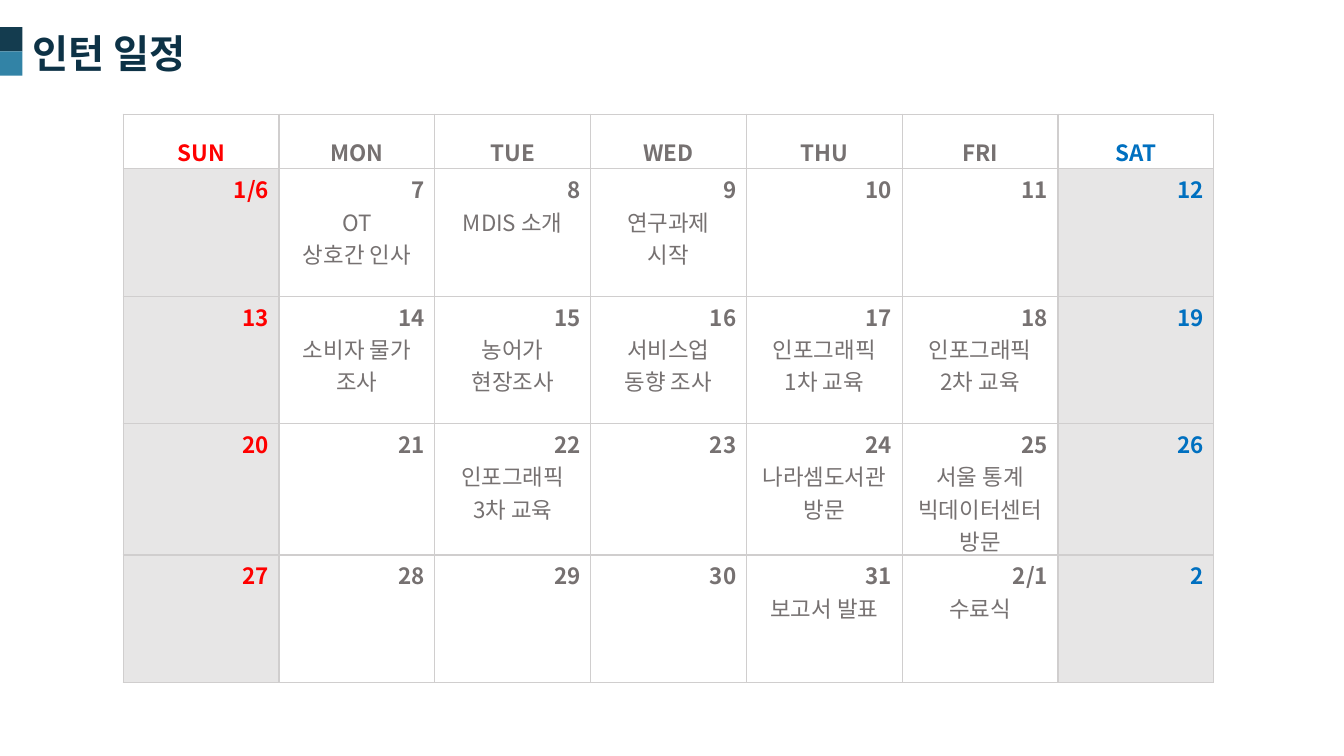
import pptx
import pptx.dml.color
import pptx.enum.shapes
import pptx.enum.text
import pptx.oxml
import pptx.oxml.ns
import pptx.util

Pt = pptx.util.Pt
ALIGN = pptx.enum.text.PP_ALIGN
FONT = "Noto Sans CJK KR"
NS = pptx.oxml.ns.nsdecls("a")
COLORS = {
    "navy": "143C4F", "teal": "3283A6", "title": "0D3246", "outline": "10364A",
    "sunday": "FF0000", "weekday": "767171", "saturday": "0070C0",
    "white": "FFFFFF", "weekend": "E7E6E6", "border": "D0CECE",
}
DAY_COLORS = ["sunday"] + ["weekday"] * 5 + ["saturday"]
DAYS = ["SUN", "MON", "TUE", "WED", "THU", "FRI", "SAT"]
# Each day holds its date, then the lines of its event
WEEKS = [
    [["1/6"], ["7", "OT", "상호간 인사"], ["8", "MDIS 소개"],
     ["9", "연구과제", "시작"], ["10"], ["11"], ["12"]],
    [["13"], ["14", "소비자 물가 조사"], ["15", "농어가", "현장조사"],
     ["16", "서비스업", "동향 조사"], ["17", "인포그래픽", "1차 교육"],
     ["18", "인포그래픽", "2차 교육"], ["19"]],
    [["20"], ["21"], ["22", "인포그래픽", "3차 교육"], ["23"],
     ["24", "나라셈도서관", "방문"],
     ["25", "서울 통계", "빅데이터센터 방문"], ["26"]],
    [["27"], ["28"], ["29"], ["30"], ["31", "보고서 발표"],
     ["2/1", "수료식"], ["2"]],
]
ROW_HEIGHTS = [38.9, 91.05, 91.05, 93.8, 91.05]
COL_WIDTH = 111.3


def rgb(name):
    return pptx.dml.color.RGBColor.from_string(COLORS[name])


def write(p, text, size=16, color="weekday", bold=False, align=None, spacing=None):
    p.alignment = align
    p.line_spacing = spacing
    r = p.add_run()
    r.text = text
    r.font.size = Pt(size)
    r.font.bold = bold
    r.font.name = FONT
    r.font.color.rgb = rgb(color)
    r.font._element.find(pptx.oxml.ns.qn("a:latin")).addnext(
        pptx.oxml.parse_xml(f'<a:ea {NS} typeface="{FONT}"/>'))
    return r


def add_block(slide, left, top, width, height, color):
    sp = slide.shapes.add_shape(pptx.enum.shapes.MSO_SHAPE.RECTANGLE,
                                Pt(left), Pt(top), Pt(width), Pt(height))
    sp.shadow.inherit = False
    sp.fill.solid()
    sp.fill.fore_color.rgb = rgb(color)
    sp.line.fill.background()


def add_title(slide, text):
    sp = slide.shapes.add_textbox(Pt(16), Pt(17.2), Pt(129), Pt(41.2))
    tf = sp.text_frame
    tf.word_wrap = False
    tf.auto_size = pptx.enum.text.MSO_AUTO_SIZE.SHAPE_TO_FIT_TEXT
    r = write(tf.paragraphs[0], text, size=28, color="title", bold=True)
    # Faint outline around the letters
    r.font._element.insert(0, pptx.oxml.parse_xml(
        f'<a:ln {NS} w="{Pt(0.75)}"><a:solidFill><a:srgbClr val="{COLORS["outline"]}">'
        '<a:alpha val="15000"/></a:srgbClr></a:solidFill></a:ln>'))


def style_cell(cell, fill):
    cell.fill.solid()
    cell.fill.fore_color.rgb = rgb(fill)
    for i, side in enumerate(("lnL", "lnR", "lnT", "lnB")):
        cell._tc.get_or_add_tcPr().insert(i, pptx.oxml.parse_xml(
            f'<a:{side} {NS} w="{Pt(1)}"><a:solidFill>'
            f'<a:srgbClr val="{COLORS["border"]}"/></a:solidFill></a:{side}>'))


def fill_day(cell, lines, color):
    date, *events = lines
    tf = cell.text_frame
    write(tf.paragraphs[0], date, color=color, bold=True, align=ALIGN.RIGHT)
    for event in events:
        write(tf.add_paragraph(), event, align=ALIGN.CENTER)


def add_calendar(slide):
    table = slide.shapes.add_table(
        len(ROW_HEIGHTS), len(DAYS), Pt(88), Pt(81.6),
        Pt(COL_WIDTH * len(DAYS)), Pt(sum(ROW_HEIGHTS))).table
    table.first_row = table.horz_banding = False
    for row, height in zip(table.rows, ROW_HEIGHTS):
        row.height = Pt(height)
    for col, (day, color) in enumerate(zip(DAYS, DAY_COLORS)):
        table.columns[col].width = Pt(COL_WIDTH)
        # Weekday heading
        head = table.cell(0, col)
        style_cell(head, "white")
        head.margin_bottom = 0
        write(head.text_frame.paragraphs[0], day, color=color, bold=True,
              align=ALIGN.CENTER, spacing=1.5)
        # Days below it
        for row, week in enumerate(WEEKS, start=1):
            cell = table.cell(row, col)
            style_cell(cell, "white" if color == "weekday" else "weekend")
            cell.margin_top, cell.margin_bottom = Pt(3), 0
            fill_day(cell, week[col], color)


def main():
    prs = pptx.Presentation()
    prs.slide_width, prs.slide_height = Pt(960), Pt(540)
    slide = prs.slides.add_slide(prs.slide_layouts[6])
    # Title with its two-tone marker
    for top, color in ((19.4, "navy"), (36.7, "teal")):
        add_block(slide, 0, top, 16, 17.3, color)
    add_title(slide, "인턴 일정")
    add_calendar(slide)
    prs.save("out.pptx")


if __name__ == "__main__":
    main()
